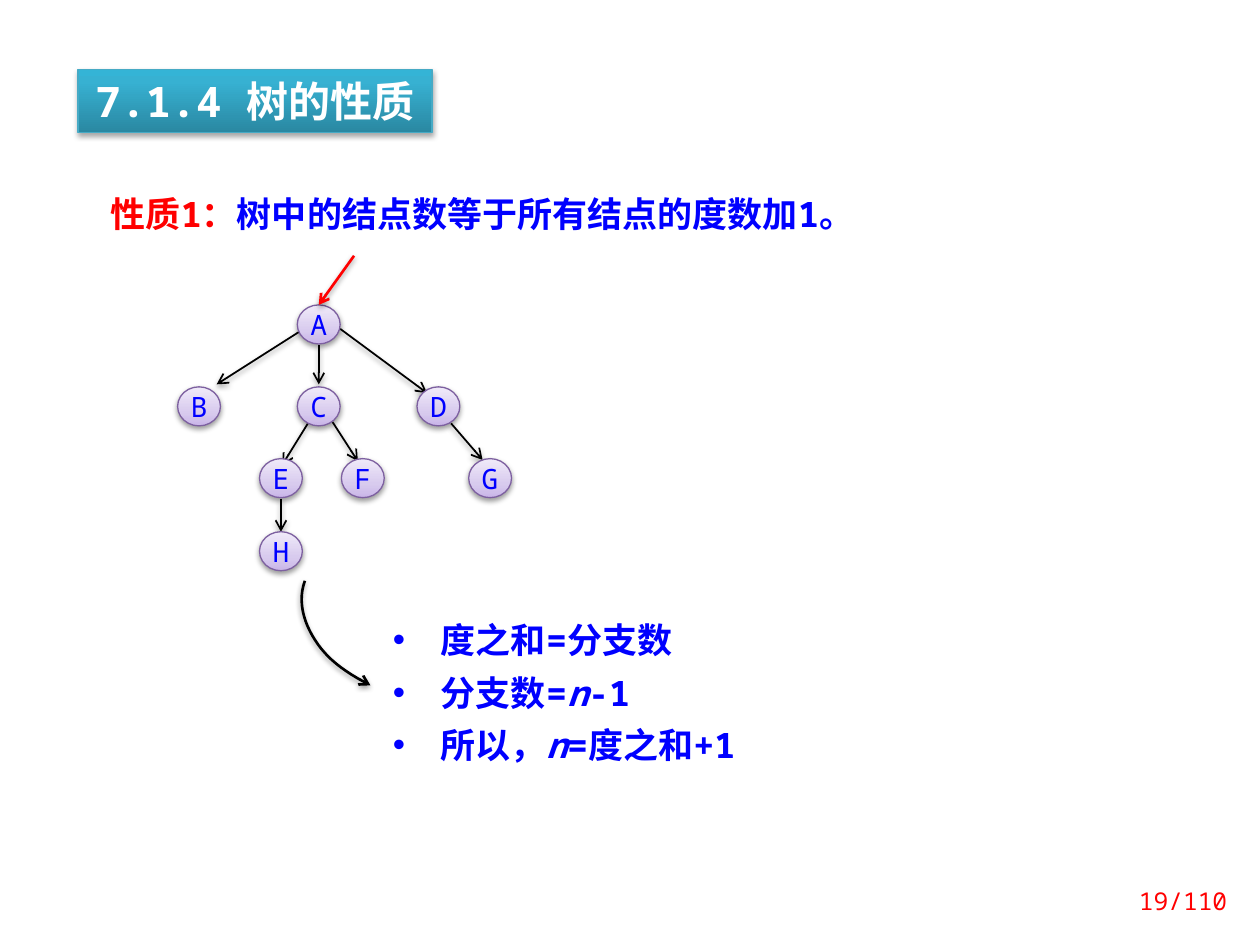
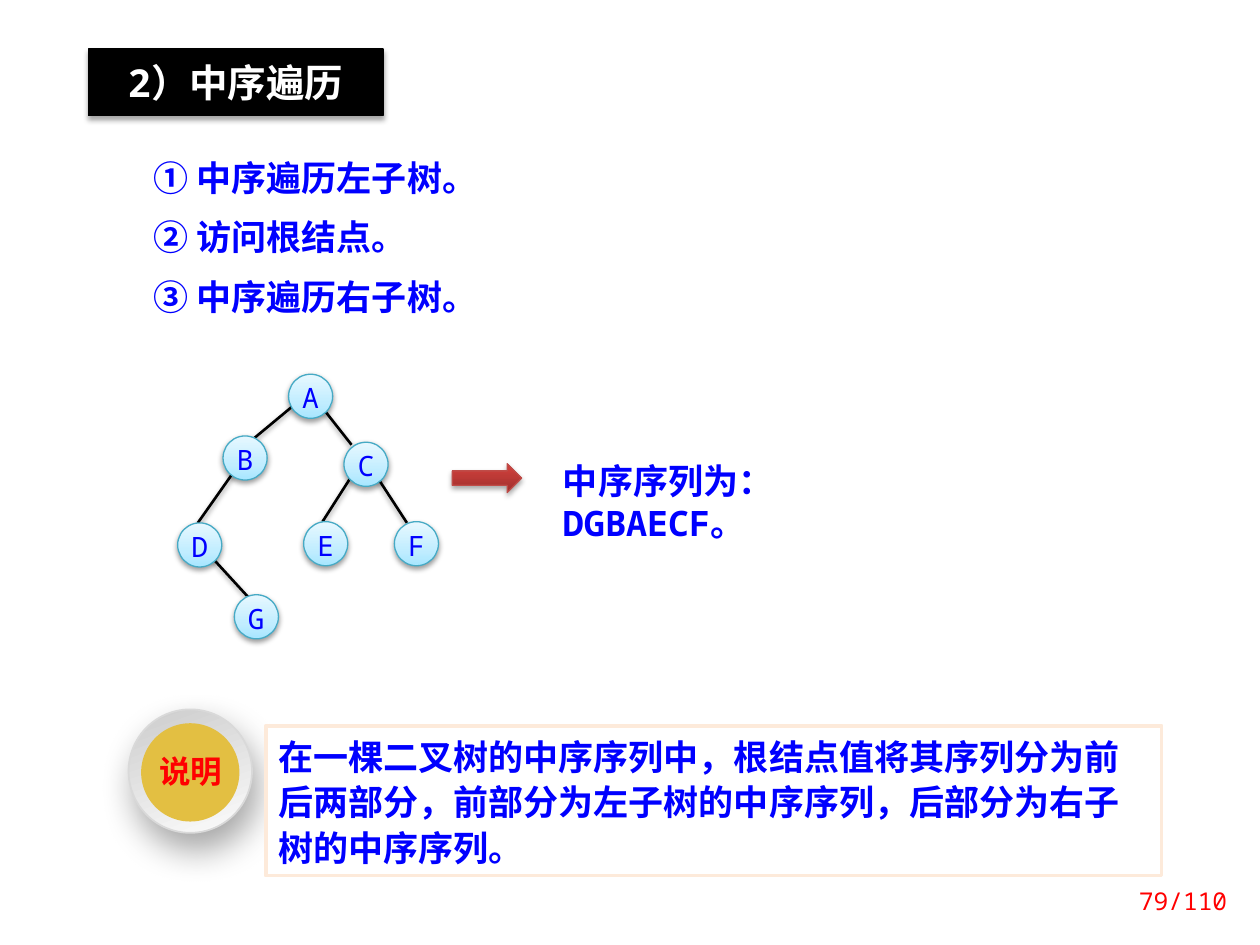
import pptx
import pptx.dml.color
import pptx.enum.shapes
import pptx.enum.text
import pptx.oxml.ns
import pptx.util
import lxml.etree

Inches, Pt = pptx.util.Inches, pptx.util.Pt
KIND = pptx.enum.shapes.MSO_SHAPE
ALIGN = pptx.enum.text.PP_ALIGN
ANCHOR = pptx.enum.text.MSO_ANCHOR
FIT = pptx.enum.text.MSO_AUTO_SIZE
qn = pptx.oxml.ns.qn

# Shared look
MONO, HAN = "Noto Sans Mono", "Noto Sans CJK SC"
BLUE, RED, WHITE, BLACK = "0000FF", "FF0000", "FFFFFF", "000000"
TEAL = [(0, "2A88A2"), (80, "37B1D2"), (100, "34B4D6")]
BRICK = [(0, "9C2F2D"), (80, "CB3E3A"), (100, "CE3B37")]
LILAC = [(0, "C9B5E8"), (35, "D8CBEE"), (100, "F0EAF9")]
SKY = [(0, "A7E6FF"), (35, "C1EDFF"), (100, "E7F8FF")]
SILVER = [(0, "CCCCCC"), (100, "FCFCFC")]
# Shadows: opacity, blur, distance, direction
DEEP, SOFT, WIDE = (35, 3.1, 1.8, 90), (38, 3.1, 1.6, 90), (34, 20, 10, 70)
TOTAL = 110

# Slide 1: properties of a tree
RULE = [[("性质1：", RED), ("树中的结点数等于所有结点的度数加1。", BLUE)]]
PROOF = [
    [("度之和=分支数", BLUE)],
    [("分支数=", BLUE), ("n", BLUE, True), ("-1", BLUE)],
    [("所以，", BLUE), ("n", BLUE, True), ("=度之和+1", BLUE)],
]
TREE = {
    "A": (2.36, 2.42), "B": (1.41, 3.07), "C": (2.36, 3.07), "D": (3.31, 3.07),
    "E": (2.06, 3.64), "F": (2.71, 3.64), "G": (3.72, 3.64), "H": (2.06, 4.22),
}
ARROWS = [
    (2.7, 2.61, 3.39, 3.12), (2.38, 2.63, 1.72, 3.05), (2.53, 2.74, 2.53, 3.05),
    (2.45, 3.35, 2.24, 3.69), (2.64, 3.35, 2.84, 3.66), (3.58, 3.36, 3.83, 3.65),
    (2.23, 3.96, 2.23, 4.22),
]
CURVE = [
    [(2.42, 4.61), (2.36, 4.77), (2.41, 4.94), (2.5, 5.08)],
    [(2.5, 5.08), (2.59, 5.22), (2.71, 5.32), (2.94, 5.44)],
]

# Slide 2: inorder traversal
STEPS = ["① 中序遍历左子树。", "② 访问根结点。", "③ 中序遍历右子树。"]
ORDER = "中序序列为：DGBAECF。"
NOTE = ("在一棵二叉树的中序序列中，根结点值将其序列分为前后两部分，"
        "前部分为左子树的中序序列，后部分为右子树的中序序列。")
BINARY = {
    "A": (2.29, 2.97), "B": (1.77, 3.46), "C": (2.73, 3.51), "D": (1.41, 4.15),
    "E": (2.41, 4.14), "F": (3.13, 4.14), "G": (1.86, 4.72),
}
LINKS = [
    (2.57, 3.25, 2.79, 3.53), (2.79, 3.78, 2.56, 4.14), (1.65, 4.39, 1.98, 4.75),
    (2.97, 3.75, 3.23, 4.15), (1.88, 3.71, 1.57, 4.15), (2.46, 3.11, 1.93, 3.55),
]


def rgb(code):
    return pptx.dml.color.RGBColor.from_string(code)


def sub(node, tag, **attrs):
    part = lxml.etree.SubElement(node, qn(tag))
    for key, val in attrs.items():
        part.set(key, str(val))
    return part


def props(shape):
    return shape._element.spPr


def shade(shape, look):
    """Give a shape or connector its own shadow, or none."""
    spot = props(shape).find(qn("a:effectLst"))
    if spot is None:
        spot = sub(props(shape), "a:effectLst")
    if look:
        dim, blur, dist, way = look
        drop = sub(spot, "a:outerShdw", blurRad=Pt(blur), dist=Pt(dist),
                   dir=way * 60000, rotWithShape=0)
        sub(sub(drop, "a:srgbClr", val=BLACK), "a:alpha", val=dim * 1000)


def paint(shape, fill, turn):
    """Fill with one colour, or with a list of gradient stops."""
    if isinstance(fill, str):
        shape.fill.solid()
        shape.fill.fore_color.rgb = rgb(fill)
        return
    shape.fill.gradient()
    shape.fill.gradient_angle = 360 - turn
    stops = props(shape).find(qn("a:gradFill")).find(qn("a:gsLst"))
    for old in list(stops):
        stops.remove(old)
    for pos, code in fill:
        sub(sub(stops, "a:gs", pos=pos * 1000), "a:srgbClr", val=code)


def draw(slide, kind, at, fill, line=None, wide=0.75, look=None, turn=270):
    shape = slide.shapes.add_shape(kind, *map(Inches, at))
    paint(shape, fill, turn)
    if line:
        shape.line.color.rgb = rgb(line)
        shape.line.width = Pt(wide)
    else:
        shape.line.fill.background()
    shape.shadow.inherit = False
    shade(shape, look)
    return shape


def label(slide, at):
    return slide.shapes.add_textbox(*map(Inches, at))


def write(shape, paras, size=20, bold=True, font=MONO, align=ALIGN.LEFT,
          inset=(0.1, 0.05, 0.1, 0.05), anchor=ANCHOR.TOP, wrap=True, grow=True,
          gap=0, lead=None, bullet=False):
    """Each paragraph is a list of runs: text, colour and, if set, italic."""
    frame = shape.text_frame
    frame.word_wrap, frame.vertical_anchor = wrap, anchor
    frame.auto_size = FIT.SHAPE_TO_FIT_TEXT if grow else FIT.NONE
    (frame.margin_left, frame.margin_top,
     frame.margin_right, frame.margin_bottom) = map(Inches, inset)
    for num, runs in enumerate(paras):
        para = frame.add_paragraph() if num else frame.paragraphs[0]
        if bullet:
            form = para._p.get_or_add_pPr()
            form.set("marL", str(Inches(0.38)))
            form.set("indent", str(-Inches(0.38)))
            sub(form, "a:buFont", typeface="Arial")
            sub(form, "a:buChar", char="•")
        para.alignment = align
        if num:
            para.space_before = Pt(gap)
        if lead:
            para.line_spacing = lead
        for text, code, *slant in runs:
            run = para.add_run()
            run.text = text
            run.font.size, run.font.bold = Pt(size), bold
            run.font.italic = bool(slant)
            run.font.color.rgb = rgb(code)
            run.font.name = font
            sub(run._r.get_or_add_rPr(), "a:ea", typeface=HAN)


def stroke(shape, code, wide, arrow):
    shape.line.color.rgb = rgb(code)
    shape.line.width = Pt(wide)
    if arrow:
        sub(props(shape).find(qn("a:ln")), "a:tailEnd", type="arrow")
    shade(shape, SOFT)


def join(slide, ends, code=BLACK, wide=1.5, arrow=False):
    kind = pptx.enum.shapes.MSO_CONNECTOR.STRAIGHT
    stroke(slide.shapes.add_connector(kind, *map(Inches, ends)), code, wide, arrow)


def bend(slide, curve, steps=12):
    """Trace cubic curves with short segments."""
    dots = []
    for a, b, c, d in curve:
        for step in range(1, steps + 1):
            t = step / steps
            u = 1 - t
            dots.append(tuple(
                Inches(u**3 * a[i] + 3 * u * u * t * b[i] + 3 * u * t * t * c[i] + t**3 * d[i])
                for i in (0, 1)))
    pen = slide.shapes.build_freeform(*map(Inches, curve[0][0]))
    pen.add_line_segments(dots, close=False)
    shape = pen.convert_to_shape()
    shape.fill.background()
    shape.shadow.inherit = False
    stroke(shape, BLACK, 1.5, True)


def plant(slide, nodes, size, fill, line, **style):
    for name, spot in nodes.items():
        ball = draw(slide, KIND.OVAL, (*spot, *size), fill, line, look=SOFT)
        write(ball, [[(name, BLUE)]], 16, False, align=ALIGN.CENTER, grow=False, **style)


def title(slide, text, at, fill, line, size, pad):
    band = draw(slide, KIND.RECTANGLE, at, fill, line, look=DEEP)
    write(band, [[(text, WHITE)]], size, align=ALIGN.CENTER, inset=(0.1, pad, 0.1, pad))


def footer(slide, page):
    write(label(slide, (8.7, 6.95, 1.14, 0.4)), [[(f"{page}/{TOTAL}", RED)]], 14, False,
          align=ALIGN.RIGHT, anchor=ANCHOR.MIDDLE, grow=False)


def nature(slide):
    title(slide, "7.1.4 树的性质", (0.62, 0.55, 2.81, 0.5), TEAL, "46AAC5", 24, 0.05)
    write(label(slide, (0.78, 1.48, 6.25, 0.44)), RULE)
    proof = draw(slide, KIND.RECTANGLE, (3.02, 4.86, 3.38, 1.28), WHITE)
    write(proof, PROOF, gap=6, bullet=True)
    # Tree, with an arrow to its root
    for ends in ARROWS:
        join(slide, ends, wide=1, arrow=True)
    plant(slide, TREE, (0.34, 0.31), LILAC, "7D60A0", inset=(0, 0.05, 0, 0.05),
          anchor=ANCHOR.MIDDLE, wrap=False)
    bend(slide, CURVE)
    join(slide, (2.81, 2.03, 2.53, 2.42), RED, arrow=True)
    footer(slide, 19)


def inorder(slide):
    title(slide, "2）中序遍历", (0.7, 0.39, 2.34, 0.53), BLACK, BLACK, 22, 0.08)
    steps = draw(slide, KIND.RECTANGLE, (1.02, 1.12, 2.89, 1.58), WHITE)
    write(steps, [[(step, BLUE)] for step in STEPS], gap=10, inset=(0.2, 0.12, 0.1, 0.12))
    # Tree and its sequence
    for ends in LINKS:
        join(slide, ends)
    plant(slide, BINARY, (0.35, 0.35), SKY, "46AAC5", inset=(0, 0, 0, 0))
    write(label(slide, (4.37, 3.6, 3.13, 0.44)), [[(ORDER, BLUE)]])
    draw(slide, KIND.RIGHT_ARROW, (3.59, 3.68, 0.55, 0.23), BRICK, "BF4C48", look=DEEP)
    # Badge and note
    draw(slide, KIND.OVAL, (1.02, 5.63, 0.98, 0.98), SILVER, "D9D9D9", 1, WIDE, 70)
    draw(slide, KIND.OVAL, (1.12, 5.74, 0.78, 0.78), "E3BF42")
    write(label(slide, (1.16, 5.98, 0.71, 0.34)), [[("说明", RED)]], 18, font=HAN,
          align=ALIGN.CENTER, wrap=False, lead=0.8)
    note = draw(slide, KIND.RECTANGLE, (2.11, 5.76, 7.11, 1.19), WHITE, "FDEADA", 2)
    write(note, [[(NOTE, BLUE)]], lead=Pt(26))
    footer(slide, 79)


def main():
    deck = pptx.Presentation()
    deck.slide_width, deck.slide_height = Inches(10), Inches(7.5)
    for build in (nature, inorder):
        build(deck.slides.add_slide(deck.slide_layouts[6]))
    deck.save("out.pptx")


if __name__ == "__main__":
    main()
